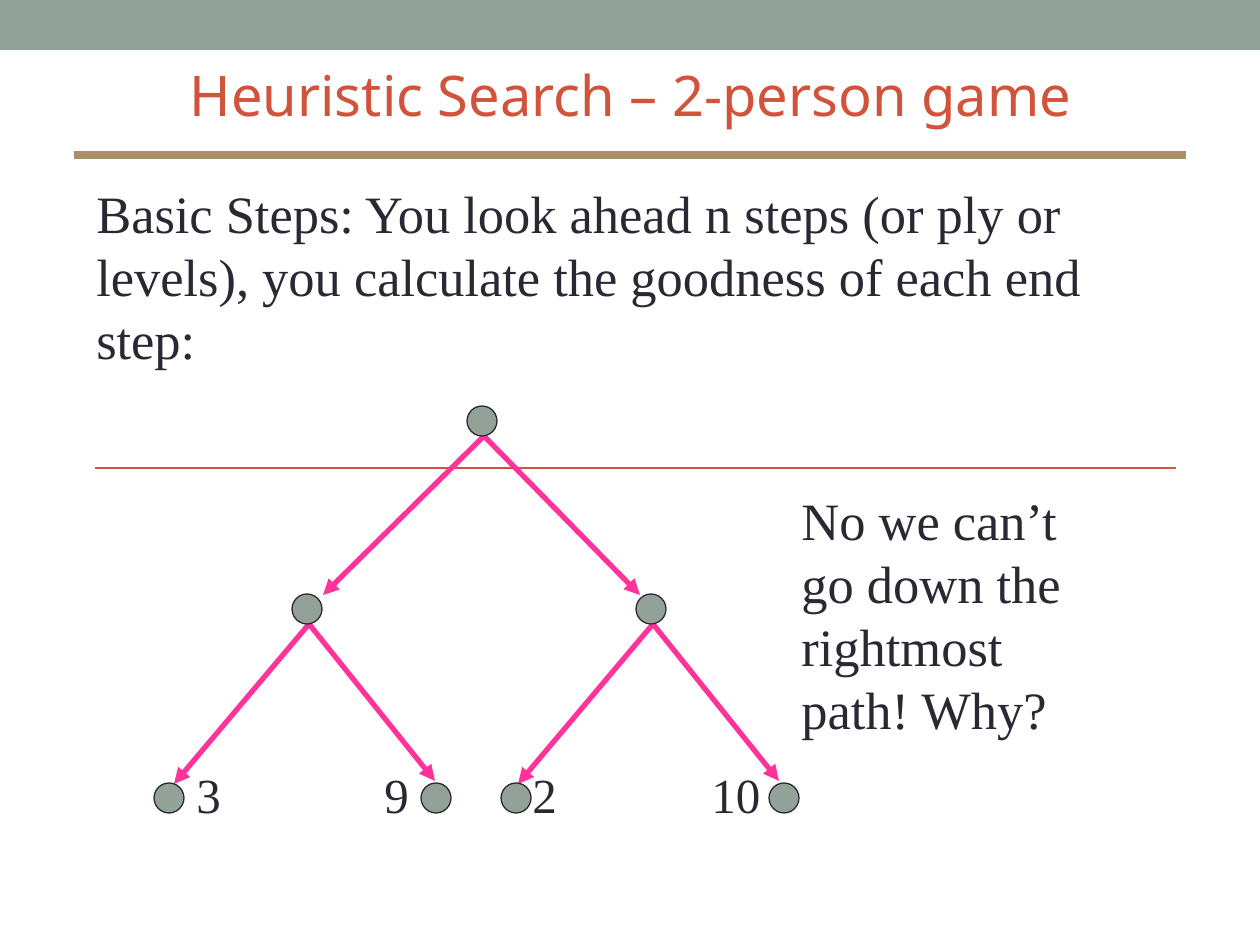
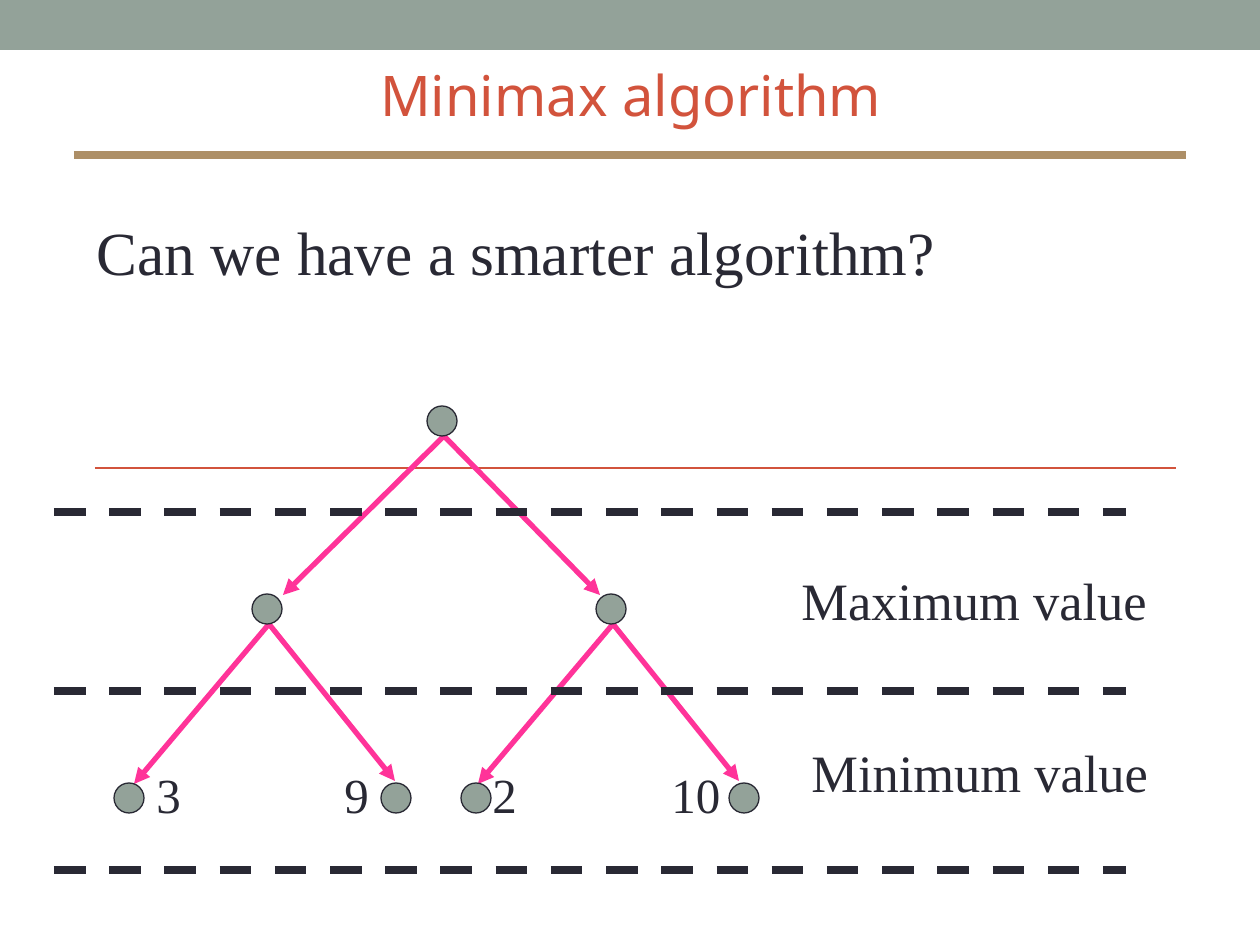
from dataclasses import dataclass

from lxml.etree import SubElement
from pptx import Presentation
from pptx.dml.color import RGBColor
from pptx.enum.dml import MSO_LINE
from pptx.enum.shapes import MSO_CONNECTOR, MSO_SHAPE
from pptx.enum.text import MSO_ANCHOR, PP_ALIGN
from pptx.oxml.ns import qn
from pptx.util import Emu, Pt

WIDTH, HEIGHT = 1260, 945
SCALE = 914400 / 126


def px(n):
    return Emu(round(n * SCALE))


@dataclass(frozen=True)
class Theme:
    sage: str = "93A299"
    red: str = "D2533C"
    tan: str = "AD8F67"
    pink: str = "FF3399"
    ink: str = "292934"
    head: str = "Noto Sans"
    serif: str = "Times New Roman"
    title: int = 32
    lead: int = 35
    body: int = 30
    leaf: int = 28
    thin: float = 0.75
    rule: float = 1.5
    edge: float = 3
    bar: float = 4.5


class Deck:
    def __init__(self, theme):
        self.theme = theme
        self.prs = Presentation()
        self.prs.slide_width, self.prs.slide_height = px(WIDTH), px(HEIGHT)
        self.slide = None

    def page(self, title):
        """Start a slide with the shared band, rules and title."""
        t = self.theme
        self.slide = self.prs.slides.add_slide(self.prs.slide_layouts[6])
        self.shape(MSO_SHAPE.RECTANGLE, 0, 0, WIDTH, 50)
        self.line(95, 468, 1176, 468, t.red, t.rule)
        self.line(74, 155, 1186, 155, t.tan, t.bar)
        box = self.text(title, 64, 35, 1134, 118, t.title, t.head, t.red)
        box.vertical_anchor = MSO_ANCHOR.MIDDLE
        box.paragraphs[0].alignment = PP_ALIGN.CENTER

    def shape(self, kind, x, y, w, h, edge=None):
        item = self.slide.shapes.add_shape(kind, px(x), px(y), px(w), px(h))
        item.shadow.inherit = False
        item.fill.solid()
        item.fill.fore_color.rgb = RGBColor.from_string(self.theme.sage)
        if edge:
            item.line.color.rgb = RGBColor.from_string(edge)
            item.line.width = Pt(self.theme.thin)
        else:
            item.line.fill.background()

    def line(self, x1, y1, x2, y2, color, width, dash=False, arrow=False):
        item = self.slide.shapes.add_connector(
            MSO_CONNECTOR.STRAIGHT, px(x1), px(y1), px(x2), px(y2))
        item.line.color.rgb = RGBColor.from_string(color)
        item.line.width = Pt(width)
        if dash:
            item.line.dash_style = MSO_LINE.DASH
        props = item.element.spPr
        if arrow:
            SubElement(props.find(qn("a:ln")), qn("a:tailEnd"), type="triangle")
        SubElement(props, qn("a:effectLst"))

    def text(self, words, x, y, w, h, size, font=None, color=None):
        box = self.slide.shapes.add_textbox(px(x), px(y), px(w), px(h))
        frame = box.text_frame
        frame.word_wrap = True
        frame.text = words
        style = frame.paragraphs[0].runs[0].font
        style.name = font or self.theme.serif
        style.size = Pt(size)
        style.color.rgb = RGBColor.from_string(color or self.theme.ink)
        return frame

    def node(self, x, y):
        """Draw a tree node centred at x, y."""
        self.shape(MSO_SHAPE.OVAL, x - 15, y - 15, 30, 30, self.theme.ink)

    def fork(self, x, y, left, right):
        """Draw a node and its two arrows; each tip is an offset from the node."""
        for dx, dy in (left, right):
            self.line(x + 2, y + 15, x + dx, y + dy,
                      self.theme.pink, self.theme.edge, arrow=True)
        self.node(x, y)

    def tree(self, root):
        """Draw the game tree with its root centred at x = root."""
        self.fork(root, 421, (-159, 174), (158, 174))
        for dx in (-175, 169):
            self.fork(root + dx, 609, (-133, 175), (128, 172))
        leaves = (("3", -313, -298, 59), ("9", -46, -110, 59),
                  ("2", 34, 38, 59), ("10", 302, 217, 100))
        for value, dx, left, width in leaves:
            self.node(root + dx, 798)
            self.text(value, root + left, 758, width, 72, self.theme.leaf)


def search(deck):
    size = deck.theme.body
    deck.page("Heuristic Search – 2-person game")
    deck.text("Basic Steps: You look ahead n steps (or ply or levels), "
              "you calculate the goodness of each end step:",
              84, 175, 1072, 202, size)
    deck.tree(482)
    deck.text("No we can’t go down the rightmost path! Why?",
              789, 482, 297, 265, size)


def minimax(deck):
    t = deck.theme
    deck.page("Minimax algorithm")
    deck.text("Can we have a smarter algorithm?", 84, 208, 1072, 86, t.lead)
    deck.tree(442)
    for words, x, y in (("Maximum value", 789, 562), ("Minimum value", 799, 734)):
        deck.text(words, x, y, 397, 76, t.body)
    for row in range(3):
        y = 512 + 179 * row
        deck.line(54, y, 1126, y, t.ink, t.bar, dash=True)


def main():
    deck = Deck(Theme())
    search(deck)
    minimax(deck)
    deck.prs.save("out.pptx")


if __name__ == "__main__":
    main()
